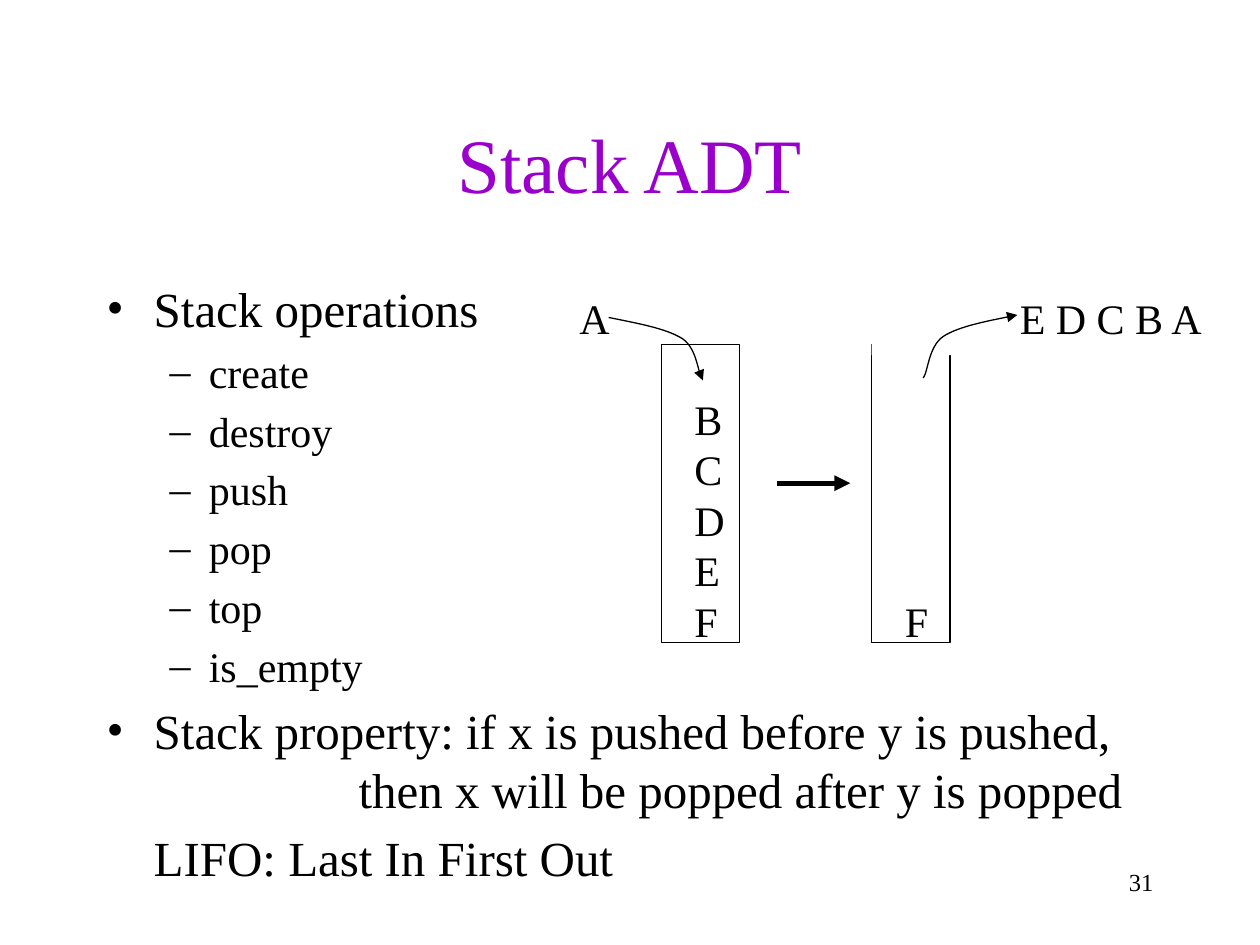
from lxml.etree import SubElement
from pptx import Presentation
from pptx.dml.color import RGBColor
from pptx.enum.shapes import MSO_CONNECTOR, MSO_SHAPE
from pptx.enum.text import MSO_ANCHOR, PP_ALIGN
from pptx.oxml.ns import qn
from pptx.util import Cm, Pt

FONT = "Times New Roman"
HUES = {"title": "9900CC", "ink": "000000", "paper": "FFFFFF"}


def color(name):
    """Return the named colour."""
    return RGBColor.from_string(HUES[name])


def write(slide, box, rows, size=24, hue="ink", align=PP_ALIGN.LEFT,
          anchor=MSO_ANCHOR.TOP, wrap=True):
    """Write rows of text, each a string or a dict with its own format."""
    frame = slide.shapes.add_textbox(*map(Cm, box)).text_frame
    frame.word_wrap, frame.vertical_anchor = wrap, anchor
    for i, row in enumerate(rows):
        row = {"text": row} if isinstance(row, str) else row
        para = frame.paragraphs[0] if i == 0 else frame.add_paragraph()
        para.alignment = align
        para.space_before = Pt(row.get("before", 0))
        run = para.add_run()
        run.text = row["text"]
        run.font.name, run.font.size = FONT, Pt(row.get("size", size))
        run.font.color.rgb = color(hue)
        props = para._p.get_or_add_pPr()
        props.set("marL", str(Cm(row.get("left", 0))))
        props.set("indent", str(-Cm(row.get("hang", 0))))
        if "mark" in row:
            SubElement(props, qn("a:buFont"), typeface=FONT)
            SubElement(props, qn("a:buChar"), char=row["mark"])


def block(slide, box, fill=None, line=None):
    """Draw a plain rectangle."""
    shape = slide.shapes.add_shape(MSO_SHAPE.RECTANGLE, *map(Cm, box))
    shape.shadow.inherit = False
    style(shape, fill, line)


def style(shape, fill=None, line=None):
    """Set the fill and the thin outline of a shape."""
    if fill:
        shape.fill.solid()
        shape.fill.fore_color.rgb = color(fill)
    else:
        shape.fill.background()
    if line:
        shape.line.color.rgb = color(line)
        shape.line.width = Pt(0.75)
    else:
        shape.line.fill.background()


def tip(shape, end):
    """Put an arrowhead on the head or tail end of a line."""
    SubElement(shape.line._get_or_add_ln(), qn(f"a:{end}End"), type="triangle")


def bend(a, b, c, d, steps=16):
    """Yield the points of a cubic curve after its start."""
    for i in range(1, steps + 1):
        t = i / steps
        u = 1 - t
        yield tuple(Cm(u**3 * p + 3 * u * u * t * q + 3 * u * t * t * r + t**3 * s)
                    for p, q, r, s in zip(a, b, c, d))


def curve(slide, left, top, flip, end):
    """Draw the curved arrow between a letter and its stack."""
    pts = [(0, 0), (0.58, 0.12), (1.16, 0.22), (1.49, 0.43),
           (1.8, 0.64), (1.8, 1.17), (1.9, 1.27)]
    pts = [(left + (1.9 - x if flip else x), top + y) for x, y in pts]
    form = slide.shapes.build_freeform(*map(Cm, pts[0]), scale=1.0)
    form.add_line_segments([*bend(*pts[:4]), *bend(*pts[3:])], close=False)
    shape = form.convert_to_shape()
    shape.shadow.inherit = False
    style(shape, line="ink")
    tip(shape, end)


def stack(slide, left, top, rows):
    """Draw a stack with its letters resting on the bottom."""
    block(slide, (left, top, 1.58, 6.02), line="ink")
    write(slide, (left + 0.42, top + 0.86, 1.12, 5.34), rows,
          anchor=MSO_ANCHOR.BOTTOM, wrap=False)


def before(slide, left, top):
    """Draw the full stack and the letter being pushed."""
    stack(slide, left + 1.9, top + 1.17, "BCDEF")
    write(slide, (left, top, 1.12, 1.27), ["A"], wrap=False)
    curve(slide, left + 0.84, top + 0.63, False, "tail")


def after(slide, left, top):
    """Draw the open stack and the letters popped from it."""
    stack(slide, left, top + 1.17, "F")
    block(slide, (left, top + 1.06, 1.7, 0.33), fill="paper")
    write(slide, (left + 2.74, top, 4.22, 1.27), ["E D C B A"], wrap=False)
    curve(slide, left + 1.04, top + 0.58, True, "head")


def arrow(slide, left, top, width):
    """Draw the thick arrow between the two stacks."""
    line = slide.shapes.add_connector(
        MSO_CONNECTOR.STRAIGHT, *map(Cm, (left, top, left + width, top)))
    line.line.color.rgb = color("ink")
    line.line.width = Pt(3)
    tip(line, "tail")
    SubElement(line._element.spPr, qn("a:effectLst"))


def body(slide, box):
    """Write the bulleted list."""
    main = {"size": 28, "left": 0.95, "hang": 0.95, "before": 5.6, "mark": "•"}
    sub = {"size": 24, "left": 2.06, "hang": 0.79, "before": 4.8, "mark": "–"}
    names = ["create", "destroy", "push", "pop", "top", "is_empty"]
    write(slide, box, [
        main | {"text": "Stack operations"},
        *(sub | {"text": name} for name in names),
        main | {"text": "Stack property: if x is pushed before y is pushed,"},
        {"text": "then x will be popped after y is popped", "size": 28, "left": 5.08},
        {"text": "LIFO: Last In First Out", "size": 28, "left": 0.95, "before": 5.6},
    ])


def main():
    """Build and save the slide."""
    deck = Presentation()
    deck.slide_width, deck.slide_height = Cm(25.4), Cm(19.05)
    slide = deck.slides.add_slide(deck.slide_layouts[6])
    write(slide, (1.9, 1.7, 21.6, 3.18), ["Stack ADT"], size=44, hue="title",
          align=PP_ALIGN.CENTER, anchor=MSO_ANCHOR.MIDDLE)
    body(slide, (1.9, 5.5, 21.6, 11.43))
    before(slide, 11.43, 5.77)
    after(slide, 17.57, 5.77)
    arrow(slide, 15.66, 9.74, 1.48)
    write(slide, (18.2, 17.36, 5.3, 1.27), ["31"], size=14, align=PP_ALIGN.RIGHT)
    deck.save("out.pptx")


main()
